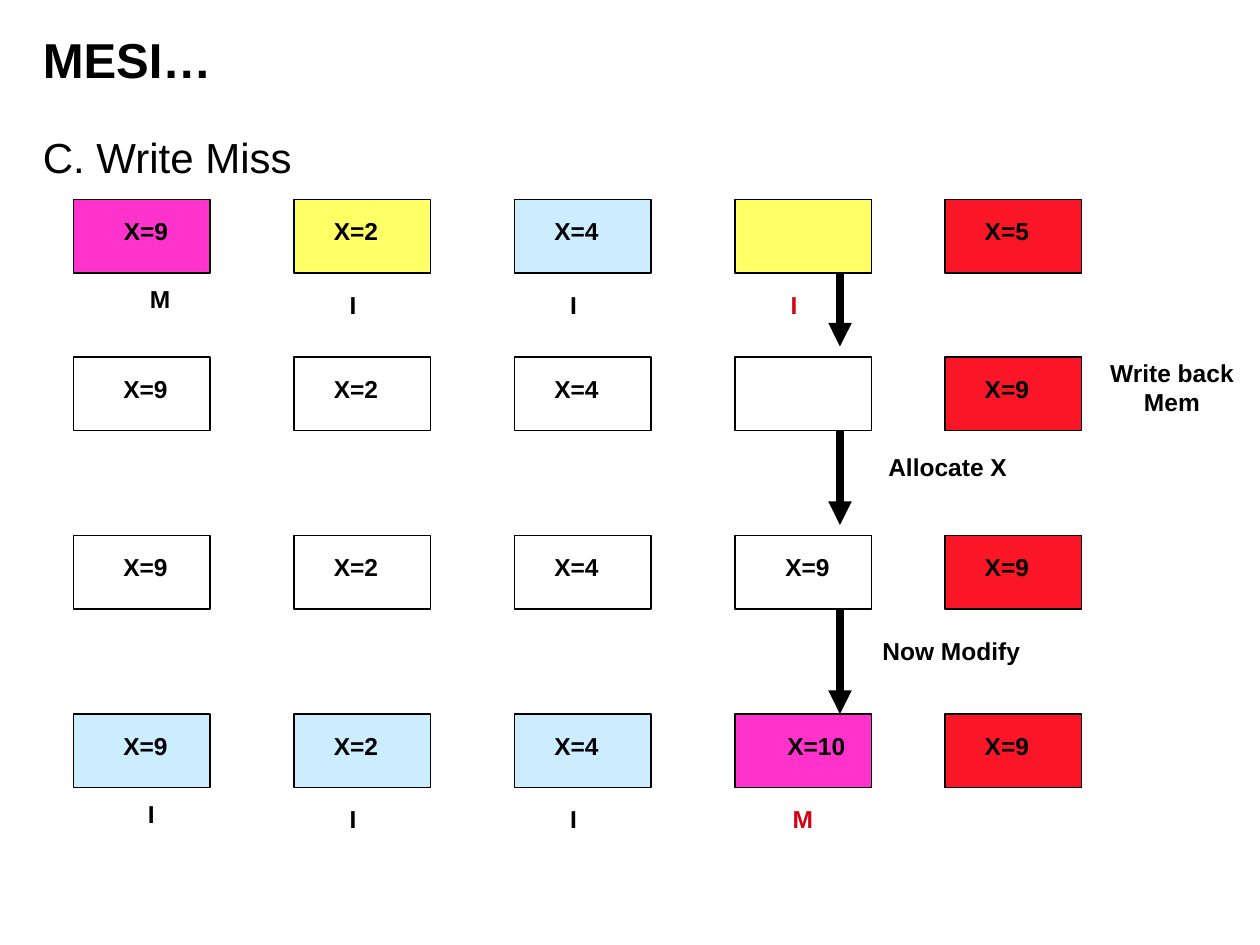
from pptx import Presentation
from pptx import util as u
from pptx.dml.color import RGBColor
from pptx.enum import shapes as sh, text as tx
from pptx.oxml.ns import qn
from lxml import etree

# Content: each row holds (value, fill, state) per cache, memory last
HUES = {"pink": "FF33CC", "yellow": "FFFF66", "sky": "CCECFF",
        "red": "FA1626", "mark": "D20413", "ink": "000000"}
TITLE = "MESI…"
HEAD = "C. Write Miss"
ROWS = [
    [("X=9", "pink", "M"), ("X=2", "yellow", "I"), ("X=4", "sky", "I"),
     ("", "yellow", "I"), ("X=5", "red", "")],
    [("X=9", "", ""), ("X=2", "", ""), ("X=4", "", ""),
     ("", "", ""), ("X=9", "red", "")],
    [("X=9", "", ""), ("X=2", "", ""), ("X=4", "", ""),
     ("X=9", "", ""), ("X=9", "red", "")],
    [("X=9", "sky", "I"), ("X=2", "sky", "I"), ("X=4", "sky", "I"),
     ("X=10", "pink", "M"), ("X=9", "red", "")],
]
NOTES = [("Write back\nMem", 102.8, 33.5, 1.47, 0.7),
         ("Allocate X", 81.8, 42.5, 1.41, 0.4),
         ("Now Modify", 81, 60, 1.6, 0.4)]

# Grid: the slide is 120 by 90 units
COLS = [7, 28, 49, 70, 90]
TOPS = [19, 34, 51, 68]
WIDE, HIGH = 13, 7
VAL_IN = [3, 2, 2, 3, 2]        # value inset per column
STATE_IN = [5.8, 4, 4, 4, 4]    # state inset per column
ARROW_X = 80
ENDS = [33, 50, 68]
WIDTHS = {"I": 0.27, "M": 0.41, "X=10": 0.79}

prs = Presentation()
prs.slide_width, prs.slide_height = u.Inches(10), u.Inches(7.5)
UNIT = prs.slide_width / 120
slide = prs.slides.add_slide(prs.slide_layouts[1])


def grid(*nums):
    return [round(n * UNIT) for n in nums]


def hue(name):
    return RGBColor.from_string(HUES[name])


def style(frame, size, bold, align, ink="ink"):
    for para in frame.paragraphs:
        para.alignment = align
        for run in para.runs:
            font = run.font
            font.name, font.size, font.bold = "Arial", u.Pt(size), bold
            font.color.rgb = hue(ink)


def label(home, words, x, y, wide, high=0.4, ink="ink"):
    box = home.add_textbox(*grid(x, y), u.Inches(wide), u.Inches(high))
    frame = box.text_frame
    frame.text = words
    frame.word_wrap = False
    frame.auto_size = tx.MSO_AUTO_SIZE.SHAPE_TO_FIT_TEXT
    style(frame, 14, True, tx.PP_ALIGN.CENTER, ink)


def cell(home, x, y, fill):
    box = home.add_shape(sh.MSO_SHAPE.RECTANGLE, *grid(x, y, WIDE, HIGH))
    box.shadow.inherit = False
    if fill:
        box.fill.solid()
        box.fill.fore_color.rgb = hue(fill)
    else:
        box.fill.background()
    box.line.color.rgb = hue("ink")
    box.line.width = u.Pt(0.75)


def arrow(x, top, end):
    line = slide.shapes.add_connector(
        sh.MSO_CONNECTOR.STRAIGHT, *grid(x, top, x, end))
    line.line.color.rgb = hue("ink")
    line.line.width = u.Pt(4.5)
    etree.SubElement(line.line._get_or_add_ln(), qn("a:tailEnd"), type="triangle")
    etree.SubElement(line._element.spPr, qn("a:effectLst"))


# Title and heading
title, body = slide.placeholders
for holder, words, top, high, size in [(title, TITLE, 0.01, 0.92, 28),
                                       (body, HEAD, 0.99, 5.99, 24)]:
    holder.left, holder.top = u.Inches(0.24), u.Inches(top)
    holder.width, holder.height = u.Inches(9.6), u.Inches(high)
    holder.text_frame.text = words
    holder.text_frame.auto_size = tx.MSO_AUTO_SIZE.NONE
    style(holder.text_frame, size, holder is title, tx.PP_ALIGN.LEFT)
title.text_frame.word_wrap = False
title.text_frame.vertical_anchor = tx.MSO_ANCHOR.MIDDLE
para = body.text_frame.paragraphs[0]
para.space_before = u.Pt(0)
props = para._p.get_or_add_pPr()
props.set("marL", str(u.Inches(0.29)))
props.set("indent", str(u.Inches(-0.29)))
etree.SubElement(props, qn("a:buNone"))

# Cache rows, one group each
for r, (top, row) in enumerate(zip(TOPS, ROWS)):
    home = slide.shapes.add_group_shape().shapes
    for x, (_, fill, _) in zip(COLS, row):
        cell(home, x, top, fill)
    for c, (x, (value, _, state)) in enumerate(zip(COLS, row)):
        slim = c == 0 and r > 0
        if value:
            label(home, value, x + VAL_IN[c] + 0.5 * slim, top + 1,
                  0.56 if slim else WIDTHS.get(value, 0.65))
        if state:
            label(home, state, x + STATE_IN[c], top + (8 if c else 7.5),
                  WIDTHS[state], ink="mark" if c == 3 else "ink")

# Steps between rows
for top, end in zip(TOPS, ENDS):
    arrow(ARROW_X, top + HIGH, end)
for note in NOTES:
    label(slide.shapes, *note)

prs.save("out.pptx")
